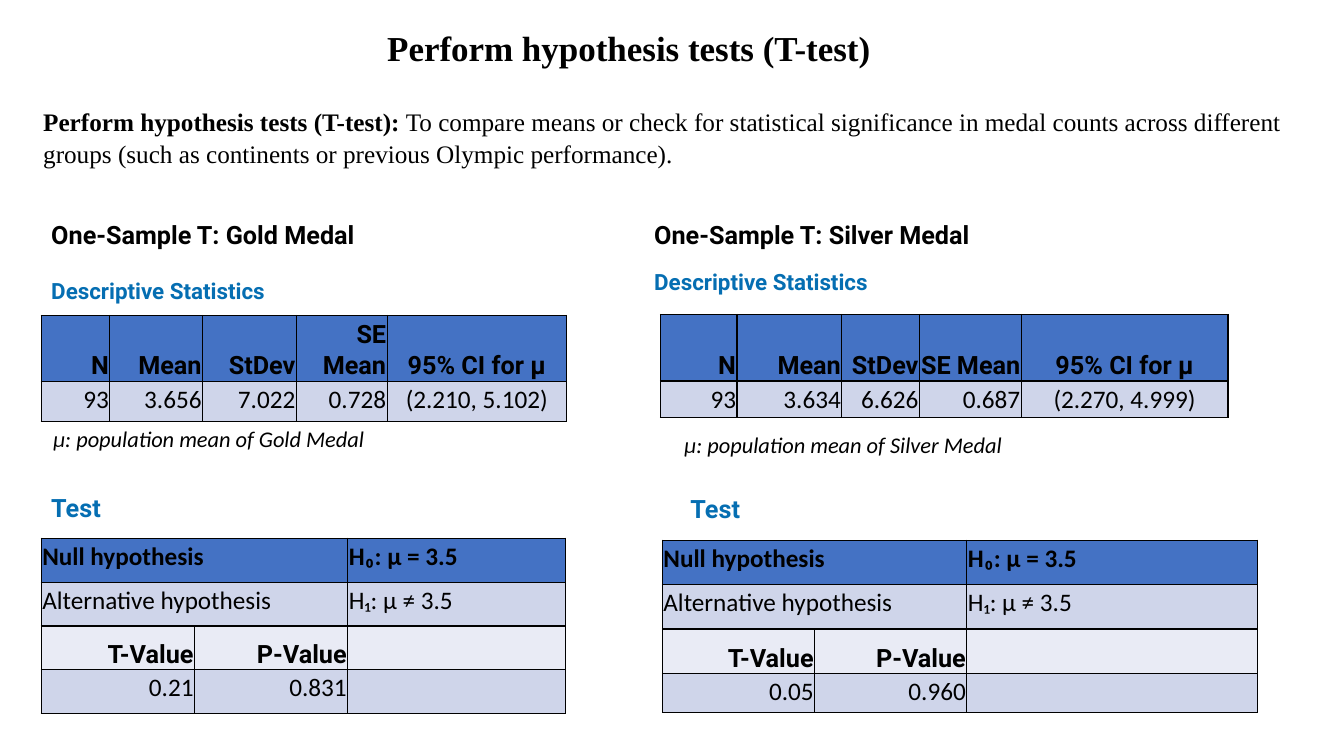
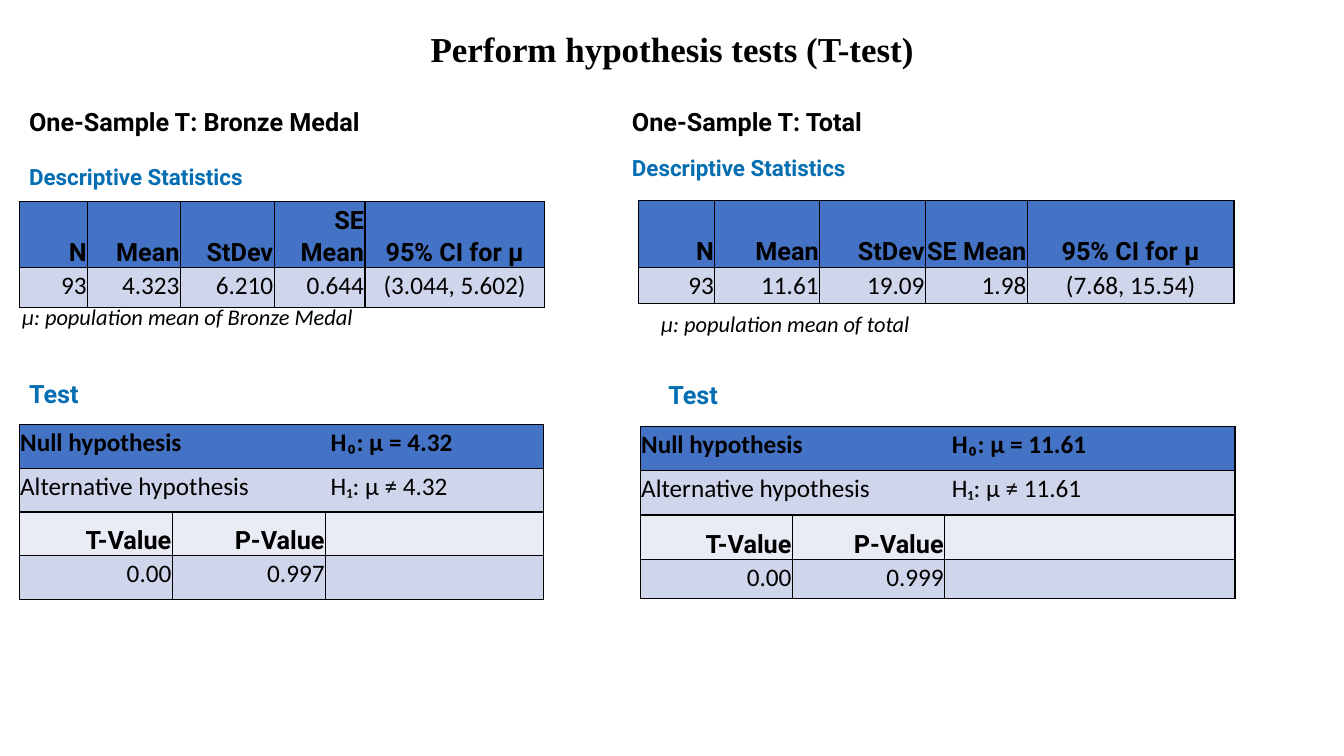
from pptx import Presentation
from pptx.dml.color import RGBColor
from pptx.enum.text import MSO_ANCHOR, MSO_AUTO_SIZE, PP_ALIGN
from pptx.oxml import parse_xml
from pptx.oxml.ns import nsdecls
from pptx.util import Inches, Pt

TOP, BOTTOM = MSO_ANCHOR.TOP, MSO_ANCHOR.BOTTOM
ALIGN = {"l": PP_ALIGN.LEFT, "c": PP_ALIGN.CENTER, "r": PP_ALIGN.RIGHT}
NO_FIT = MSO_AUTO_SIZE.NONE
TITLE_ONLY = 5
WIDTH, HEIGHT = 13.33, 7.5
HYPOTHESIS_TAB = 3.08

THEME = {
    "ink": "000000", "accent": "056EB2",
    "header": "4472C4", "band": "CFD5EA", "pale": "E9EBF5",
    "title": {"name": "Times New Roman", "size": Pt(25), "bold": True},
    "lead": {"name": "Times New Roman", "size": Pt(18), "bold": True},
    "body": {"name": "Times New Roman", "size": Pt(18), "bold": False},
    "heading": {"name": "Roboto", "size": Pt(18), "bold": True},
    "subheading": {"name": "Roboto", "size": Pt(16), "bold": True},
    "note": {"name": "Calibri", "size": Pt(16), "italic": True},
    "label": {"name": "Calibri", "size": Pt(18), "bold": True},
    "value": {"name": "Calibri", "size": Pt(18), "bold": False},
}
SPACING = {
    "title": {"line_spacing": 1.07, "space_after": Pt(8)},
    "heading": {"line_spacing": 1.07, "space_after": Pt(4)},
    "subheading": {},
    "note": {"line_spacing": 1.07, "space_before": Pt(6), "space_after": Pt(8)},
    "cell": {"line_spacing": 1.07, "space_before": Pt(0), "space_after": Pt(0)},
}


def write(frame, spans, spacing, align="l", color="ink"):
    """Fill the first paragraph of a frame with (text, type style) spans."""
    frame.word_wrap = True
    para = frame.paragraphs[0]
    para.alignment = ALIGN[align]
    for key, setting in SPACING[spacing].items():
        setattr(para, key, setting)
    for text, style in spans:
        span = para.add_run()
        span.text = text
        span.font.color.rgb = RGBColor.from_string(THEME[color])
        for key, setting in THEME[style].items():
            setattr(span.font, key, setting)
        if "\t" in text:
            para._p.get_or_add_pPr().append(parse_xml(
                f'<a:tabLst {nsdecls("a")}><a:tab pos="{Inches(HYPOTHESIS_TAB)}" algn="l"/></a:tabLst>'))


def place_table(page, left, top, columns, heights, rows):
    """Draw rows of (fill, style, anchor, alignments, texts); None joins the cell before it."""
    table = page.shapes.add_table(
        len(rows), len(columns), Inches(left), Inches(top),
        Inches(sum(columns)), Inches(sum(heights))).table
    table.first_row = table.horz_banding = False
    for column, width in zip(table.columns, columns):
        column.width = Inches(width)
    for r, (fill, style, anchor, aligns, texts) in enumerate(rows):
        table.rows[r].height = Inches(heights[r])
        for c, text in enumerate(texts):
            cell = table.cell(r, c)
            cell.margin_left = cell.margin_right = cell.margin_top = Inches(0.01)
            cell.margin_bottom = 0
            cell.vertical_anchor = anchor
            for side in "LRTB":
                cell._tc.get_or_add_tcPr().append(parse_xml(
                    f'<a:ln{side} {nsdecls("a")} w="{Pt(1)}"><a:solidFill>'
                    f'<a:srgbClr val="{THEME["ink"]}"/></a:solidFill></a:ln{side}>'))
            cell.fill.solid()
            cell.fill.fore_color.rgb = RGBColor.from_string(THEME[fill])
            write(cell.text_frame, [(text, style)] if text else [], "cell", aligns[c])
        joined = [c for c, text in enumerate(texts) if text is None]
        if joined:
            table.cell(r, joined[0] - 1).merge(table.cell(r, joined[-1]))


# Offsets are measured from each slide's origin.
SIDES = [
    {"width": WIDTH / 2, "heading": (0, 0), "descriptive": (0, 0.59), "stats": (0, 1.02),
     "test": (0, 2.7), "results": (0, 3.23), "stats_rows": [0.65, 0.4],
     "result_columns": [1.52, 1.52, 2.16], "result_rows": [0.435] * 4},
    {"width": WIDTH * 0.31, "heading": (5.98, 0), "descriptive": (5.98, 0.5), "stats": (6.14, 1.01),
     "test": (6.34, 2.71), "results": (6.16, 3.25), "stats_rows": [0.66, 0.36],
     "result_columns": [1.51, 1.51, 2.88], "result_rows": [0.44, 0.44, 0.44, 0.39]},
]
LEFT_COLUMNS = [0.68, 0.92, 0.93, 0.9, 1.78]
SLIDES = [
    {"title_at": (3.74, 0.18), "origin": (0.41, 2.11), "split": True,
     "intro": [("Perform hypothesis tests (T-test):", "lead"),
               (" To compare means or check for statistical significance in medal counts across "
                "different groups (such as continents or previous Olympic performance).", "body")],
     "panels": [
         {"name": "Gold Medal", "noun": "Gold Medal", "note_at": (0.02, 2.04),
          "columns": LEFT_COLUMNS, "mean": "3.5", "test": ["0.21", "0.831"],
          "stats": ["93", "3.656", "7.022", "0.728", "(2.210, 5.102)"]},
         {"name": "Silver Medal", "noun": "Silver Medal", "note_at": (6.28, 2.1),
          "columns": [0.76, 1.04, 0.77, 1.01, 2.05], "mean": "3.5", "test": ["0.05", "0.960"],
          "stats": ["93", "3.634", "6.626", "0.687", "(2.270, 4.999)"]}]},
    {"title_at": (4.17, 0.19), "origin": (0.19, 0.98), "split": False, "intro": [],
     "panels": [
         {"name": "Bronze Medal", "noun": "Bronze Medal", "note_at": (-0.07, 1.96),
          "columns": LEFT_COLUMNS, "mean": "4.32", "test": ["0.00", "0.997"],
          "stats": ["93", "4.323", "6.210", "0.644", "(3.044, 5.602)"]},
         {"name": "Total", "noun": "total", "note_at": (6.27, 2.03),
          "columns": [0.76, 1.04, 1.05, 1.01, 2.05], "mean": "11.61", "test": ["0.00", "0.999"],
          "stats": ["93", "11.61", "19.09", "1.98", "(7.68, 15.54)"]}]},
]

deck = Presentation()
deck.slide_width, deck.slide_height = Inches(WIDTH), Inches(HEIGHT)

for content in SLIDES:
    page = deck.slides.add_slide(deck.slide_layouts[TITLE_ONLY])
    title = page.shapes.title
    left, top = content["title_at"]
    title.left, title.top = Inches(left), Inches(top)
    title.width, title.height = Inches(WIDTH / 2), Inches(0.53)
    title.text_frame.vertical_anchor = TOP
    title.text_frame.auto_size = NO_FIT
    write(title.text_frame, [("Perform hypothesis tests (T-test)", "title")], "title")

    if content["intro"]:
        box = page.shapes.add_textbox(Inches(0.33), Inches(0.98), Inches(12.71), Inches(0.73))
        write(box.text_frame, content["intro"], "title")

    x, y = content["origin"]
    for side, panel in zip(SIDES, content["panels"]):
        captions = [
            (side["heading"], f"One-Sample T: {panel['name']}", "heading", "ink"),
            (side["descriptive"], "Descriptive Statistics", "subheading", "accent"),
            (panel["note_at"], f"μ: population mean of {panel['noun']}", "note", "ink"),
            (side["test"], "Test", "heading", "accent"),
        ]
        for (dx, dy), text, style, color in captions:
            box = page.shapes.add_textbox(
                Inches(x + dx), Inches(y + dy), Inches(side["width"]), Inches(0.4))
            write(box.text_frame, [(text, style)], style, color=color)

        dx, dy = side["stats"]
        place_table(page, x + dx, y + dy, panel["columns"], side["stats_rows"], [
            ("header", "heading", BOTTOM, "rrrrc", ["N", "Mean", "StDev", "SE Mean", "95% CI for μ"]),
            ("band", "value", TOP, "rrrrc", panel["stats"]),
        ])

        hypotheses = []
        for name, claim in [("Null hypothesis", f"H₀: μ = {panel['mean']}"),
                            ("Alternative hypothesis", f"H₁: μ ≠ {panel['mean']}")]:
            hypotheses.append([name, None, claim] if content["split"]
                              else [f"{name}\t{claim}", None, None])
        dx, dy = side["results"]
        place_table(page, x + dx, y + dy, side["result_columns"], side["result_rows"], [
            ("header", "label", TOP, "lll", hypotheses[0]),
            ("band", "value", TOP, "lll", hypotheses[1]),
            ("pale", "heading", BOTTOM, "rrl", ["T-Value", "P-Value", ""]),
            ("band", "value", TOP, "rrl", panel["test"] + [""]),
        ])

deck.save("out.pptx")
